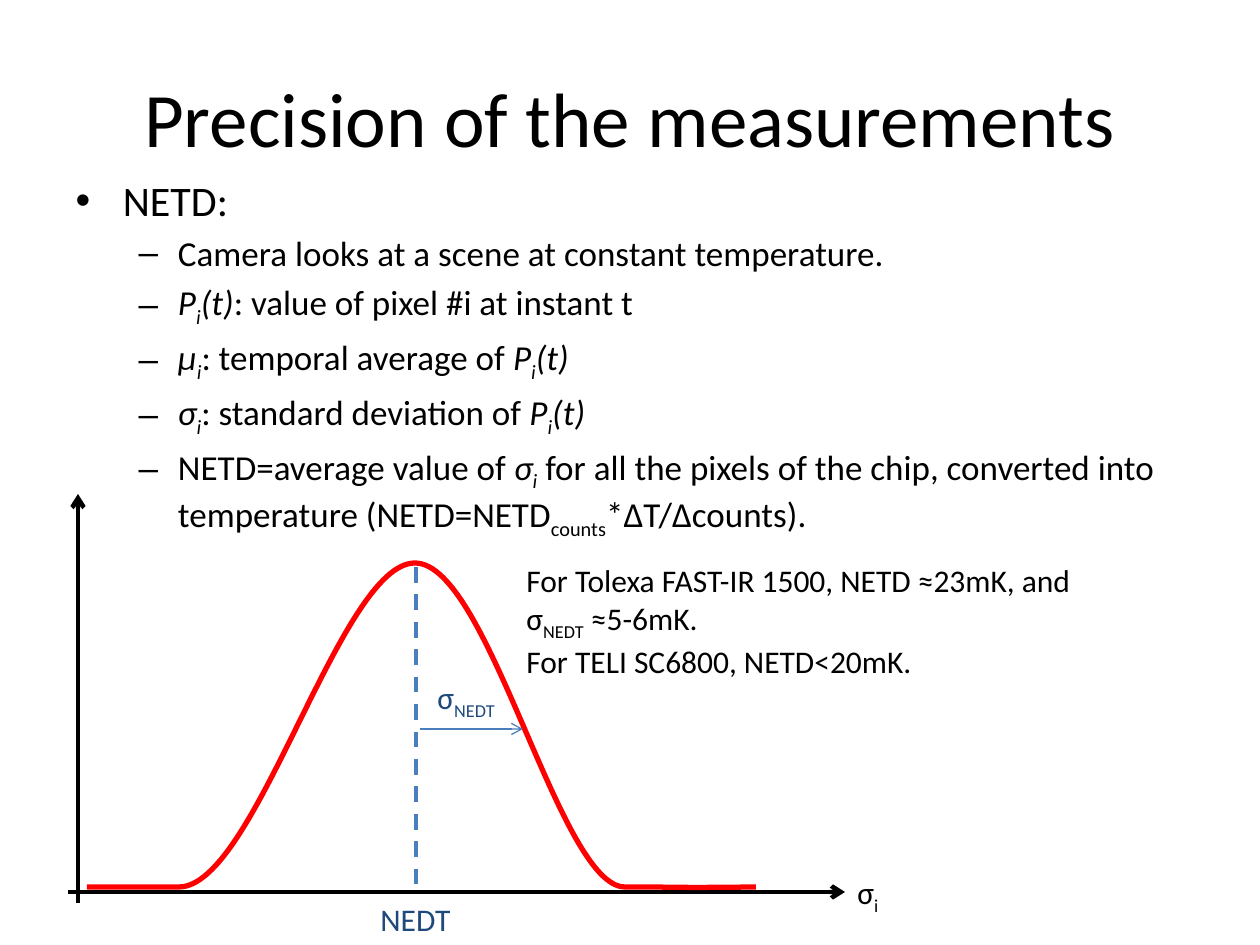
from lxml.etree import SubElement
from pptx import Presentation
from pptx.dml.color import RGBColor
from pptx.enum.dml import MSO_LINE_DASH_STYLE as Dash
from pptx.enum.shapes import MSO_CONNECTOR as Connector
from pptx.enum.text import MSO_ANCHOR as Anchor, MSO_AUTO_SIZE as AutoSize
from pptx.oxml.ns import qn
from pptx.util import Pt

PX = 914400 / 126
FONT = "Calibri"
BLACK = RGBColor(0x00, 0x00, 0x00)
NAVY = RGBColor(0x1F, 0x49, 0x7D)
BLUE = RGBColor(0x4B, 0x7E, 0xBC)
RED = RGBColor(0xFF, 0x00, 0x00)

PLAIN, ITALIC, SUB, ITALIC_SUB = (False, False), (True, False), (False, True), (True, True)

TITLE = [[("Precision of the measurements", PLAIN)]]
PIXEL_VALUE = [("P", ITALIC), ("i", ITALIC_SUB), ("(t)", ITALIC)]
BODY = [
    [("NETD:", PLAIN)],
    [("Camera looks at a scene at constant temperature.", PLAIN)],
    PIXEL_VALUE + [(": value of pixel #i at instant t", PLAIN)],
    [("μ", ITALIC), ("i", ITALIC_SUB), (": temporal average of ", PLAIN)] + PIXEL_VALUE,
    [("σ", ITALIC), ("i", ITALIC_SUB), (": standard deviation of ", PLAIN)] + PIXEL_VALUE,
    [("NETD=average value of ", PLAIN), ("σ", ITALIC), ("i", ITALIC_SUB),
     (" for all the pixels of the chip, converted into temperature (NETD=NETD", PLAIN),
     ("counts", SUB), ("*ΔT/Δcounts).", PLAIN)],
]
CAMERAS = [
    [("For Tolexa FAST-IR 1500, NETD ≈23mK, and σ", PLAIN), ("NEDT", SUB), (" ≈5-6mK.", PLAIN)],
    [("For TELI SC6800, NETD<20mK.", PLAIN)],
]
LABELS = [
    ([[("σ", PLAIN), ("i", SUB)]], (845, 867, 48, 50), BLACK, False),
    ([[("NEDT", PLAIN)]], (368, 894, 96, 50), NAVY, False),
    ([[("σ", PLAIN), ("NEDT", SUB)]], (425, 672, 89, 50), NAVY, False),
    (CAMERAS, (514, 555, 577, 165), BLACK, True),
]
AXES = [
    ((78, 903, 78, 494), BLACK, 2.5, None, True),
    ((68, 892, 845, 892), BLACK, 2.5, None, True),
]
MARKERS = [
    ((416, 567, 416, 892), BLUE, 2.25, Dash.DASH, False),
    ((420, 729, 523, 729), BLUE, 0.75, None, True),
]
CURVE_START = (87, 887)
CURVE_TOP = 563
CURVE = [
    ((173, 887), (113, 887), (179, 887)),
    ((256, 887), (340, 563), (415, 563)),
    ((489, 563), (559, 887), (625, 887)),
    ((690, 887), (667, 888), (756, 887)),
]


def emu(lengths):
    return [round(length * PX) for length in lengths]


def place(shape, box):
    shape.left, shape.top, shape.width, shape.height = emu(box)


def write(text_frame, paragraphs, sizes, color):
    for index, runs in enumerate(paragraphs):
        paragraph = text_frame.paragraphs[0] if index == 0 else text_frame.add_paragraph()
        for text, (italic, subscript) in runs:
            run = paragraph.add_run()
            run.text = text
            font = run.font
            font.name, font.size = FONT, Pt(sizes[min(index, len(sizes) - 1)])
            font.color.rgb = color
            if italic:
                font.italic = True
            if subscript:
                font._element.set("baseline", "-25000")


def add_label(slide, paragraphs, box, color, wrap):
    text_frame = slide.shapes.add_textbox(*emu(box)).text_frame
    text_frame.word_wrap = wrap
    text_frame.auto_size = AutoSize.SHAPE_TO_FIT_TEXT
    write(text_frame, paragraphs, [18], color)


def add_line(slide, ends, color, width, dash, arrow):
    connector = slide.shapes.add_connector(Connector.STRAIGHT, *emu(ends))
    line = connector.line
    line.color.rgb, line.width = color, Pt(width)
    if dash:
        line.dash_style = dash
    properties = connector._element.spPr
    if arrow:
        SubElement(properties.find(qn("a:ln")), qn("a:tailEnd"), type="arrow")
    SubElement(properties, qn("a:effectLst"))


def add_curve(slide):
    builder = slide.shapes.build_freeform(*CURVE_START, scale=PX)
    builder.add_line_segments([segment[-1] for segment in CURVE], close=False)
    curve = builder.convert_to_shape()
    curve.shadow.inherit = False
    curve.fill.background()
    curve.line.color.rgb, curve.line.width = RED, Pt(3)
    straight_parts = list(curve._element.iter(qn("a:lnTo")))
    for part, segment in zip(straight_parts, CURVE):
        outline = part.getparent()
        outline.remove(part)
        bend = SubElement(outline, qn("a:cubicBezTo"))
        for x, y in segment:
            SubElement(bend, qn("a:pt"), x=str(x - CURVE_START[0]), y=str(y - CURVE_TOP))


def main():
    presentation = Presentation()
    presentation.slide_width, presentation.slide_height = emu((1260, 945))
    slide = presentation.slides.add_slide(presentation.slide_layouts[1])

    title, body = slide.placeholders
    place(title, (63, 38, 1134, 158))
    title.text_frame.vertical_anchor = Anchor.MIDDLE
    write(title.text_frame, TITLE, [44], BLACK)

    place(body, (63, 168, 1134, 624))
    write(body.text_frame, BODY, [24, 20], BLACK)
    first, *details = body.text_frame.paragraphs
    first.space_before = Pt(0)
    for paragraph in details:
        paragraph.level = 1

    for axis in AXES:
        add_line(slide, *axis)
    add_curve(slide)
    for marker in MARKERS:
        add_line(slide, *marker)
    for label in LABELS:
        add_label(slide, *label)

    presentation.save("out.pptx")


if __name__ == "__main__":
    main()
